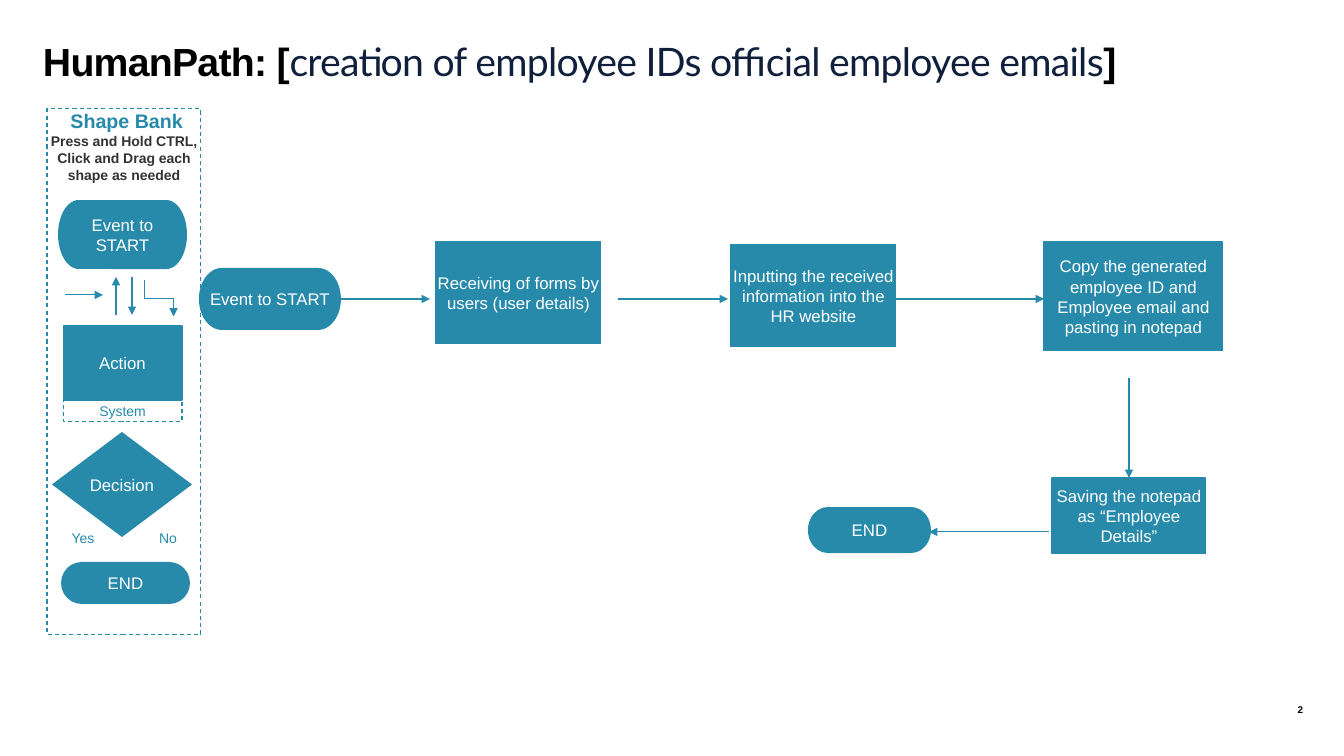
from lxml import etree
from pptx import Presentation
from pptx import util as u
from pptx.dml.color import RGBColor
from pptx.enum import dml, shapes, text
from pptx.oxml.ns import qn

PX = 914400 / 100.8
COLORS = {"teal": "278AAB", "navy": "101F3C", "gray": "333333",
          "black": "000000", "white": "FFFFFF"}
SHAPE = shapes.MSO_SHAPE
ALIGN = text.PP_ALIGN
MIDDLE, TOP = text.MSO_ANCHOR.MIDDLE, text.MSO_ANCHOR.TOP


def px(*lengths):
    return [u.Emu(round(length * PX)) for length in lengths]


def color(name):
    return RGBColor.from_string(COLORS[name])


class FlowSlide:
    def __init__(self, deck):
        self.slide = deck.slides.add_slide(deck.slide_layouts[6])
        self.items = self.slide.shapes

    def fill_text(self, box, paragraphs, align=ALIGN.CENTER, anchor=MIDDLE, spacing=None):
        """Each paragraph is a list of (words, format) pairs."""
        frame = box.text_frame
        margins = dict.fromkeys(("margin_left", "margin_top", "margin_right", "margin_bottom"), 0)
        for name, value in {**margins, "word_wrap": True, "vertical_anchor": anchor}.items():
            setattr(frame, name, value)
        for index, spans in enumerate(paragraphs):
            para = frame.add_paragraph() if index else frame.paragraphs[0]
            para.alignment = align
            if spacing:
                para.line_spacing = spacing
            for words, style in spans:
                span = para.add_run()
                span.text = words
                style = {"name": "Arial", "size": 12, "color": "white", "bold": False, **style}
                span.font.color.rgb = color(style.pop("color"))
                style["size"] = u.Pt(style["size"])
                for name, value in style.items():
                    setattr(span.font, name, value)

    def label(self, place, paragraphs, **layout):
        box = self.items.add_textbox(*px(*place))
        self.fill_text(box, paragraphs, **layout)
        return box

    def outline(self, item, dashed=False):
        item.line.color.rgb = color("teal")
        item.line.width = u.Pt(0.75)
        if dashed:
            item.line.dash_style = dml.MSO_LINE.DASH

    def node(self, kind, place, words):
        box = self.items.add_shape(kind, *px(*place))
        box.shadow.inherit = False
        box.fill.solid()
        box.fill.fore_color.rgb = color("teal")
        if kind == SHAPE.RECTANGLE:
            self.outline(box)
        else:
            box.line.fill.background()
        self.fill_text(box, [[(words, {})]])
        return box

    def frame(self, place, paragraphs, anchor=MIDDLE):
        box = self.items.add_shape(SHAPE.RECTANGLE, *px(*place))
        box.shadow.inherit = False
        box.fill.background()
        self.outline(box, dashed=True)
        self.fill_text(box, paragraphs, anchor=anchor)
        return box

    def arrow(self, ends, kind=shapes.MSO_CONNECTOR.STRAIGHT, begin=None, end=None):
        line = self.items.add_connector(kind, *px(*ends))
        self.outline(line)
        properties = line.element.spPr
        etree.SubElement(properties.find(qn("a:ln")), qn("a:tailEnd"), type="triangle")
        etree.SubElement(properties, qn("a:effectLst"))
        if begin:
            line.begin_connect(*begin)
        if end:
            line.end_connect(*end)
        return line


def main():
    deck = Presentation()
    deck.slide_width, deck.slide_height = px(1344, 756)
    page = FlowSlide(deck)

    # Shape bank frame
    page.frame((47, 109, 154, 526), [
        [(" Shape Bank", {"size": 14, "color": "teal", "bold": True})],
        [("Press and Hold CTRL, Click and Drag each shape as needed",
          {"size": 10, "color": "gray", "bold": True})],
    ], anchor=TOP)

    # Title and page number
    strong = {"size": 28, "color": "black", "bold": True}
    title = page.label((43, 45, 1260, 101), [[
        ("HumanPath: [", strong),
        ("creation of employee IDs official employee emails",
         {"name": "Lato", "size": 28, "color": "navy"}),
        ("]", strong),
    ]], align=ALIGN.LEFT, anchor=TOP, spacing=0.85)
    for span_format in title.element.iter(qn("a:rPr")):
        span_format.set("spc", "-50")
    page.label((1213, 703, 90, 13), [[("2", {"size": 7, "color": "black", "bold": True})]],
               align=ALIGN.RIGHT)

    # Shape bank samples
    small = {"size": 10, "color": "teal"}
    page.node(SHAPE.FLOWCHART_TERMINATOR, (58, 200, 129, 69), "Event to START")
    page.node(SHAPE.DIAMOND, (52, 432, 140, 105), "Decision")
    page.node(SHAPE.FLOWCHART_TERMINATOR, (61, 562, 129, 42), "END")
    action = page.node(SHAPE.RECTANGLE, (63, 326, 119, 74), "Action")
    system = page.frame((63, 400, 119, 22), [[("System", small)]])
    page.items.add_group_shape([action, system])
    for left, answer in ((53, "Yes"), (138, "No")):
        page.label((left, 519, 60, 37), [[(answer, small)]])
    for ends in ((65, 295, 103, 295), (116, 315, 116, 277), (132, 277, 132, 315)):
        page.arrow(ends)
    # The elbow is turned so that it leaves downwards
    elbow = page.arrow((177, 284, 141, 313), shapes.MSO_CONNECTOR.ELBOW)
    elbow.element.spPr.find(qn("a:xfrm")).set("rot", str(270 * 60000))

    # Process steps
    start = page.node(SHAPE.FLOWCHART_TERMINATOR, (199, 268, 142, 62), "Event to START")
    page.node(SHAPE.RECTANGLE, (436, 242, 165, 102),
              "Receiving of forms by users (user details)")
    page.node(SHAPE.RECTANGLE, (731, 245, 165, 102),
              "Inputting the received information into the HR website")
    page.node(SHAPE.RECTANGLE, (1044, 242, 179, 109),
              "Copy the generated employee ID and Employee email and pasting in notepad")
    saving = page.node(SHAPE.RECTANGLE, (1052, 478, 154, 76),
                       "Saving the notepad as “Employee Details”")
    page.node(SHAPE.FLOWCHART_TERMINATOR, (808, 507, 123, 46), "END")

    # Process flow
    page.arrow((341, 299, 430, 299), begin=(start, 3))
    page.arrow((618, 299, 728, 299))
    page.arrow((892, 299, 1044, 299))
    page.arrow((1129, 378, 1129, 478), end=(saving, 0))
    page.arrow((1049, 532, 929, 532))

    deck.save("out.pptx")


if __name__ == "__main__":
    main()
